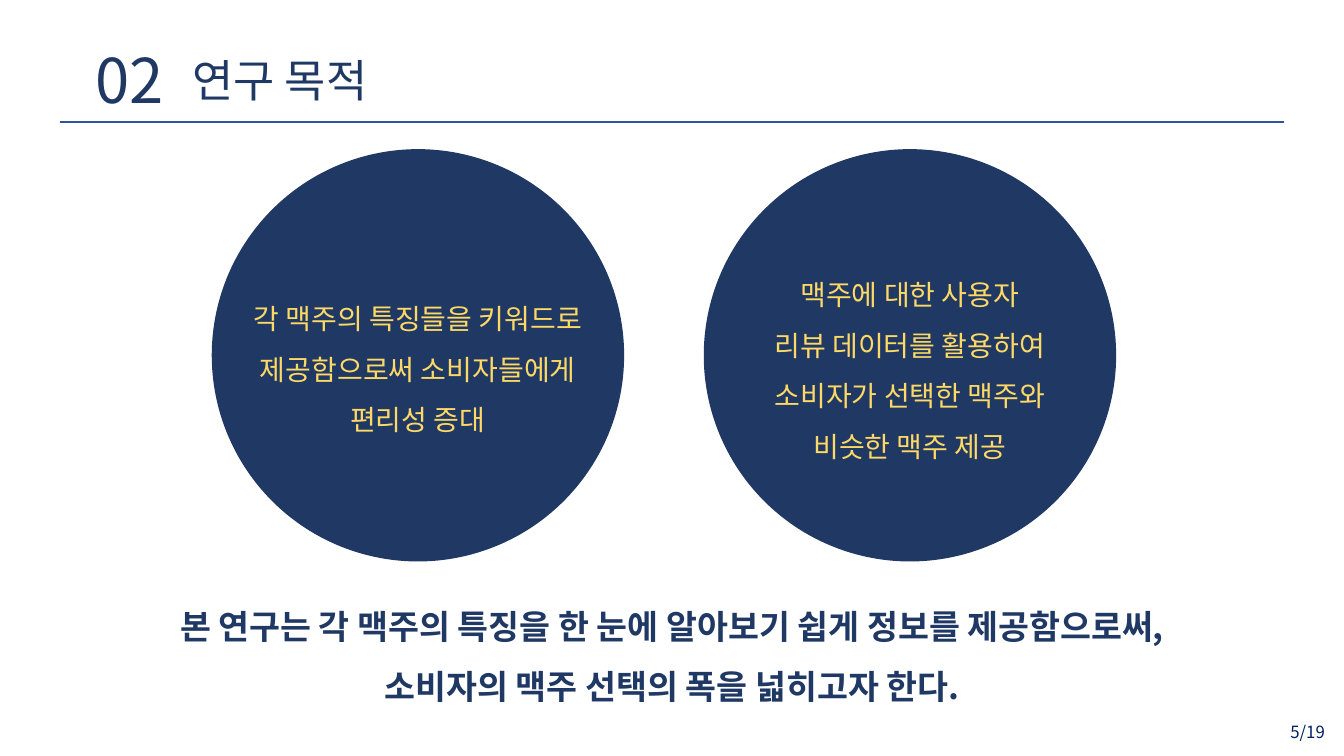
from pptx import Presentation
from pptx.dml.color import RGBColor
from pptx.enum.shapes import MSO_CONNECTOR, MSO_SHAPE
from pptx.enum.text import PP_ALIGN
from pptx.oxml.ns import qn
from pptx.util import Inches, Pt
from lxml.etree import SubElement

THEME = dict(
    font="Noto Sans CJK KR",
    navy="203864", rule="2F5597", gold="FFD966", page="002060",
    number=44, title=32, summary=24, body=20, small=12,
)
W, H = 13.33, 7.5
MARGIN = 0.6
RULE_Y = 1.21
DIAMETER = 4.09
CIRCLE_TOP = 1.48
FIRST_LEFT, PITCH = 2.1, 4.88
INSET = 0.26


def add_text(s, text, x, y, w, h, size="body", color="navy",
             bold=False, align=PP_ALIGN.LEFT, spacing=1.0):
    """Add a text box with one paragraph for each line of text."""
    tf = s.shapes.add_textbox(Inches(x), Inches(y), Inches(w), Inches(h)).text_frame
    tf.word_wrap = True
    for i, line in enumerate(text.split("\n")):
        p = tf.paragraphs[0] if i == 0 else tf.add_paragraph()
        p.alignment, p.line_spacing = align, spacing
        r = p.add_run()
        r.text = line
        r.font.name = THEME["font"]
        r.font.size = Pt(THEME[size])
        r.font.bold = bold
        r.font.color.rgb = RGBColor.from_string(THEME[color])
        SubElement(r.font._element, qn("a:ea"), typeface=THEME["font"])


prs = Presentation()
prs.slide_width, prs.slide_height = Inches(W), Inches(H)
s = prs.slides.add_slide(prs.slide_layouts[6])

# Heading
add_text(s, "연구 목적", 1.81, 0.47, 4.47, 0.64, size="title")
add_text(s, "02", 0.85, 0.37, 2.03, 0.84, size="number")
rule = s.shapes.add_connector(MSO_CONNECTOR.STRAIGHT, Inches(MARGIN), Inches(RULE_Y),
                              Inches(W - MARGIN), Inches(RULE_Y))
rule.line.color.rgb = RGBColor.from_string(THEME["rule"])
rule.line.width = Pt(1.25)
SubElement(rule._element.spPr, qn("a:effectLst"))

# Summary
add_text(s, "본 연구는 각 맥주의 특징을 한 눈에 알아보기 쉽게 정보를 제공함으로써,\n"
            "소비자의 맥주 선택의 폭을 넓히고자 한다.",
         0, 5.76, W, 1.25, size="summary", bold=True,
         align=PP_ALIGN.CENTER, spacing=1.5)

# Purposes
purposes = [
    (2.78, 1.97, "각 맥주의 특징들을 키워드로\n제공함으로써 소비자들에게\n편리성 증대"),
    (2.54, 2.58, "맥주에 대한 사용자\n리뷰 데이터를 활용하여\n소비자가 선택한 맥주와\n비슷한 맥주 제공"),
]
for i, (top, height, purpose) in enumerate(purposes):
    left = FIRST_LEFT + i * PITCH
    circle = s.shapes.add_shape(MSO_SHAPE.OVAL, Inches(left), Inches(CIRCLE_TOP),
                                Inches(DIAMETER), Inches(DIAMETER))
    circle.shadow.inherit = False
    circle.fill.solid()
    circle.fill.fore_color.rgb = RGBColor.from_string(THEME["navy"])
    circle.line.fill.background()
    add_text(s, purpose, left + INSET, top, DIAMETER - 2 * INSET, height,
             color="gold", align=PP_ALIGN.CENTER, spacing=1.5)

# Page number
add_text(s, "5/19", 12.7, 7.11, W - 12.7, 0.3, size="small", color="page")

prs.save("out.pptx")
